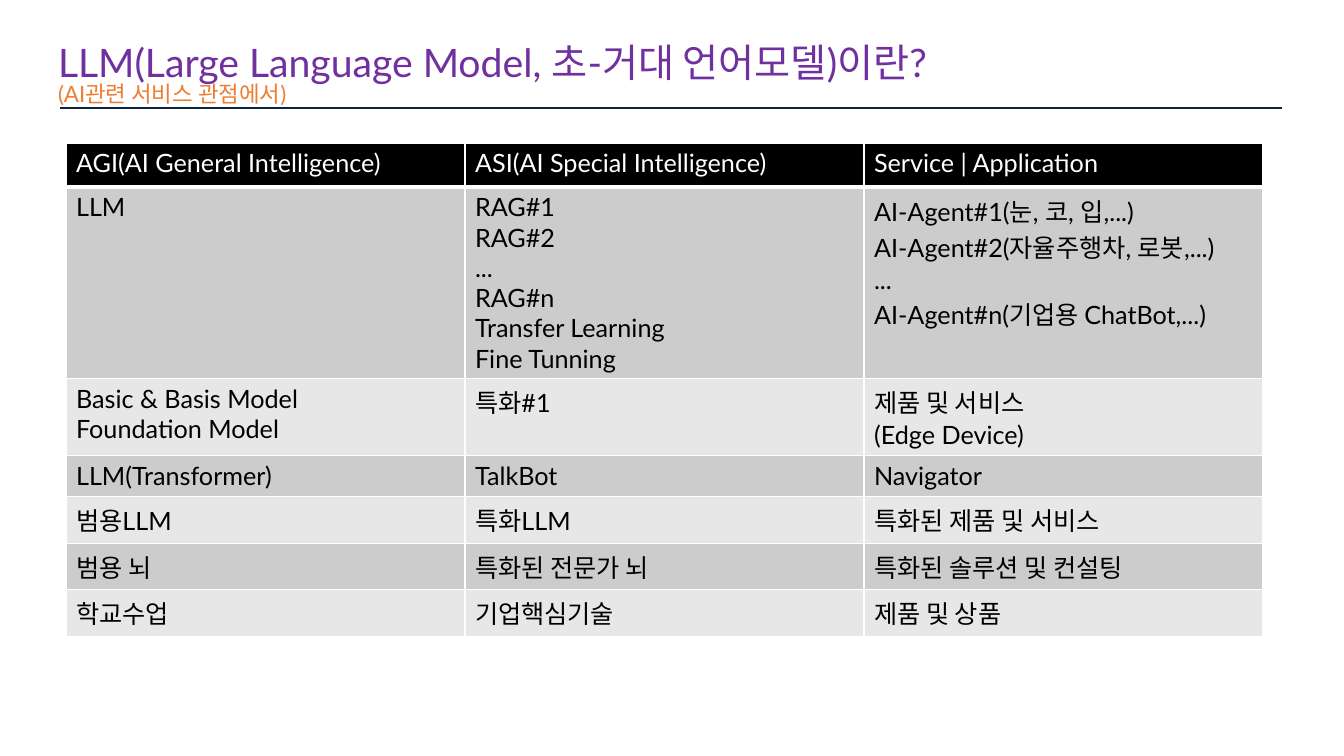
from lxml import etree
from pptx import Presentation
from pptx import util as u
from pptx.dml.color import RGBColor
from pptx.enum import shapes, text
from pptx.oxml.ns import qn

SCALE = 914400 / 100.8
FONT = "Lato"
WHITE = RGBColor(0xFF, 0xFF, 0xFF)
BLACK = RGBColor(0x00, 0x00, 0x00)
NAVY = RGBColor(0x0A, 0x23, 0x42)
PURPLE = RGBColor(0x70, 0x30, 0xA0)
ORANGE = RGBColor(0xED, 0x7D, 0x31)
DARK_BAND = RGBColor(0xCC, 0xCC, 0xCC)
LIGHT_BAND = RGBColor(0xE7, 0xE7, 0xE7)

ROW_HEIGHTS = [44, 190, 77, 41, 47, 46, 47]
ROWS = [
    ["AGI(AI General Intelligence)", "ASI(AI Special Intelligence)", "Service | Application"],
    ["LLM",
     "RAG#1\nRAG#2\n...\nRAG#n\nTransfer Learning\nFine Tunning",
     "AI-Agent#1(눈, 코, 입,...)\nAI-Agent#2(자율주행차, 로봇,...)\n...\n"
     "AI-Agent#n(기업용 ChatBot,...)"],
    ["Basic & Basis Model\nFoundation Model", "특화#1", "제품 및 서비스\n(Edge Device)"],
    ["LLM(Transformer)", "TalkBot", "Navigator"],
    ["범용LLM", "특화LLM", "특화된 제품 및 서비스"],
    ["범용 뇌", "특화된 전문가 뇌", "특화된 솔루션 및 컨설팅"],
    ["학교수업", "기업핵심기술", "제품 및 상품"],
]


def px(length):
    """Turn px into EMU."""
    return u.Emu(round(length * SCALE))


def write(paragraph, words, size=18, color=BLACK, spacing=1.0):
    """Put formatted words into a paragraph."""
    paragraph.alignment = text.PP_ALIGN.LEFT
    paragraph.line_spacing = spacing
    run = paragraph.add_run()
    run.text = words
    run.font.name = FONT
    run.font.size = u.Pt(size)
    run.font.bold = False
    run.font.color.rgb = color


def add_borders(cell, bottom):
    """Draw white borders around a cell, with the bottom width in points."""
    properties = cell._tc.get_or_add_tcPr()
    for index, (side, width) in enumerate([("L", 1), ("R", 1), ("T", 1), ("B", bottom)]):
        line = etree.Element(qn(f"a:ln{side}"), w=str(u.Pt(width)))
        fill = etree.SubElement(line, qn("a:solidFill"))
        etree.SubElement(fill, qn("a:srgbClr"), val=str(WHITE))
        properties.insert(index, line)


def add_heading(slide, left, top, width, height):
    """Place the title, its subtitle and the rule below them."""
    box = slide.shapes.add_textbox(px(left), px(top), px(width), px(height))
    frame = box.text_frame
    frame.word_wrap = True
    frame.vertical_anchor = text.MSO_ANCHOR.BOTTOM
    frame.margin_left = frame.margin_right = frame.margin_top = frame.margin_bottom = 0
    write(frame.paragraphs[0], "LLM(Large Language Model, 초-거대 언어모델)이란?",
          size=28, color=PURPLE, spacing=0.8)
    write(frame.add_paragraph(), "(AI관련 서비스 관점에서)",
          size=16, color=ORANGE, spacing=0.8)
    rule_top = px(top + height + 1)
    rule = slide.shapes.add_connector(shapes.MSO_CONNECTOR.STRAIGHT, px(left + 2), rule_top,
                                      px(left + width - 27), rule_top)
    rule.line.color.rgb = NAVY
    rule.line.width = u.Pt(1.5)
    etree.SubElement(rule._element.spPr, qn("a:effectLst"))


def add_comparison(slide, left, top, width):
    """Place the comparison table with its header and banded rows."""
    frame = slide.shapes.add_table(len(ROWS), len(ROWS[0]), px(left), px(top),
                                   px(width), px(sum(ROW_HEIGHTS)))
    table = frame.table
    for column in table.columns:
        column.width = px(width / len(ROWS[0]))
    for index, (row, height, entries) in enumerate(zip(table.rows, ROW_HEIGHTS, ROWS)):
        row.height = px(height)
        header = index == 0
        band = BLACK if header else DARK_BAND if index % 2 else LIGHT_BAND
        for cell, entry in zip(row.cells, entries):
            cell.fill.solid()
            cell.fill.fore_color.rgb = band
            add_borders(cell, bottom=3 if header else 1)
            for number, words in enumerate(entry.split("\n")):
                lines = cell.text_frame
                paragraph = lines.add_paragraph() if number else lines.paragraphs[0]
                write(paragraph, words, color=WHITE if header else BLACK)


def main():
    """Build and save the slide."""
    presentation = Presentation()
    presentation.slide_width = px(1344)
    presentation.slide_height = px(756)
    slide = presentation.slides.add_slide(presentation.slide_layouts[6])
    add_heading(slide, 58, 31, 1251, 76)
    add_comparison(slide, 66, 143, 1197)
    presentation.save("out.pptx")


if __name__ == "__main__":
    main()
